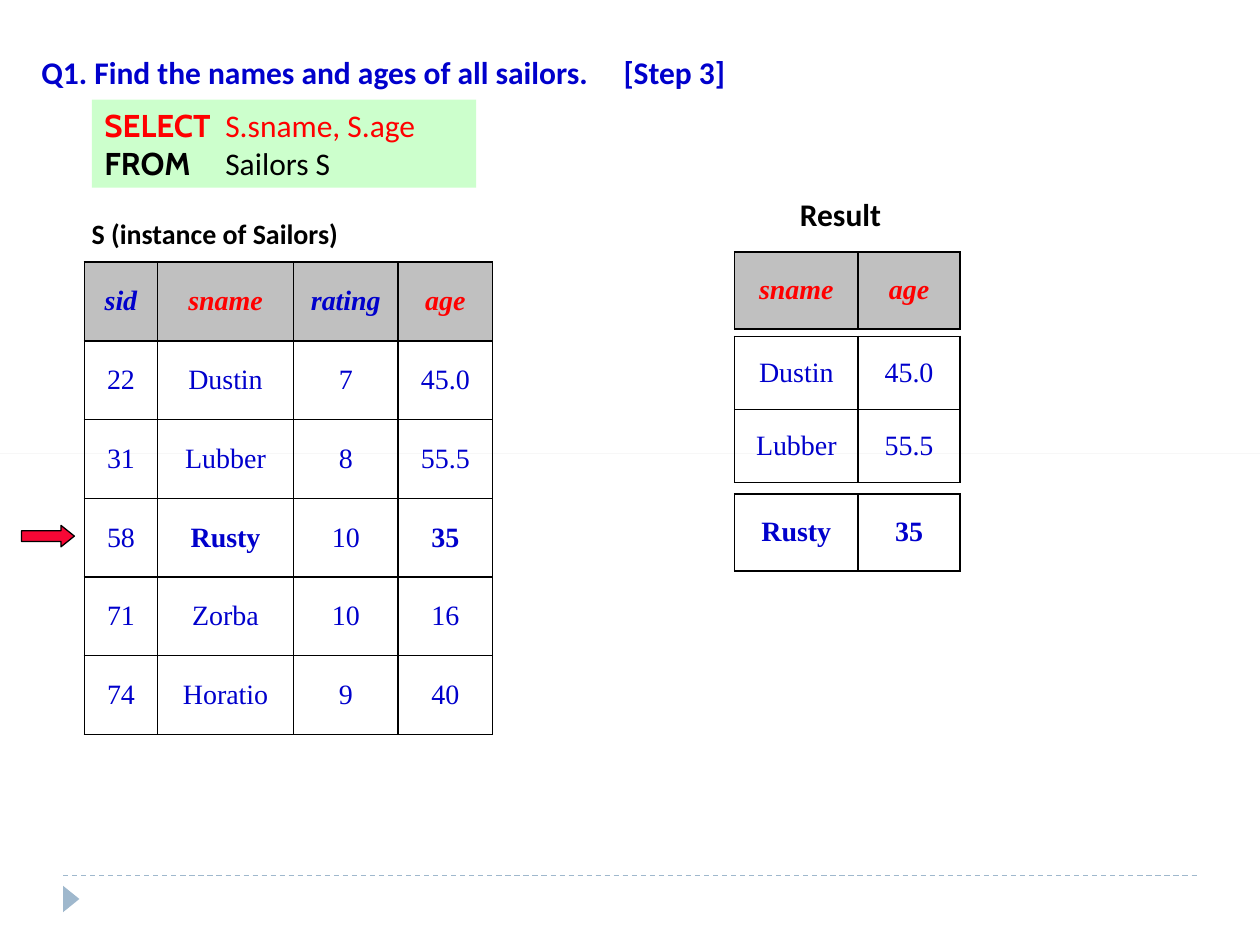
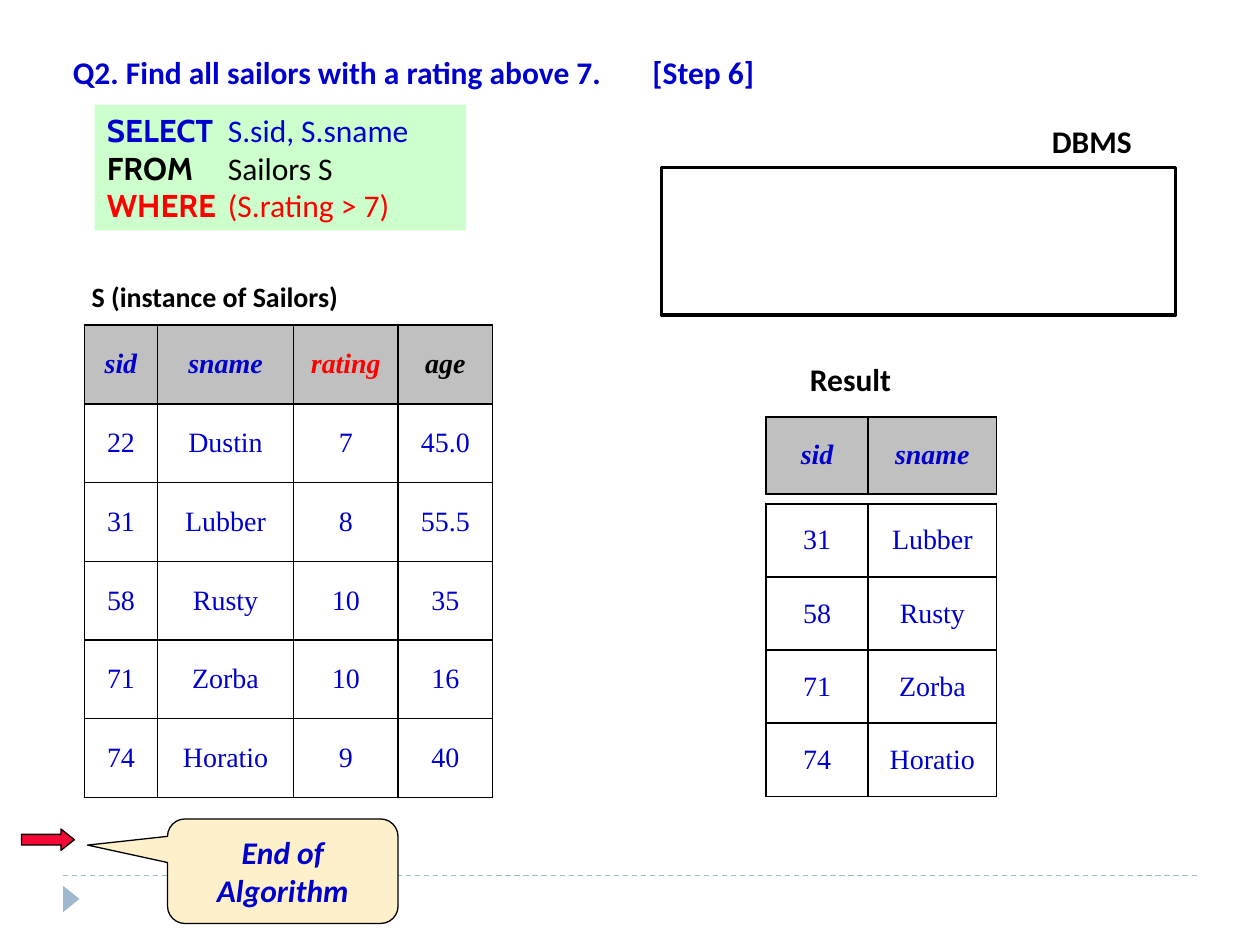
"""Build two slides that trace SQL queries over a Sailors table."""
from dataclasses import dataclass
from typing import Optional

from lxml import etree
from pptx import Presentation
from pptx.dml.color import RGBColor
from pptx.enum.dml import MSO_LINE
from pptx.enum.shapes import MSO_CONNECTOR, MSO_SHAPE
from pptx.enum.text import MSO_ANCHOR, PP_ALIGN
from pptx.oxml.ns import qn
from pptx.util import Inches, Pt

DASH = MSO_LINE.DASH
STRAIGHT = MSO_CONNECTOR.STRAIGHT
RECTANGLE = MSO_SHAPE.RECTANGLE
TRIANGLE = MSO_SHAPE.ISOSCELES_TRIANGLE
RIGHT_ARROW = MSO_SHAPE.RIGHT_ARROW
CALLOUT = MSO_SHAPE.ROUNDED_RECTANGULAR_CALLOUT
TOP, MIDDLE = MSO_ANCHOR.TOP, MSO_ANCHOR.MIDDLE
LEFT, CENTER = PP_ALIGN.LEFT, PP_ALIGN.CENTER

BLUE, RED, BLACK = "0000CC", "FF0000", "000000"
GRAY, STEEL, GREEN = "C0C0C0", "9FB8CD", "CCFFCC"
ARROW_RED, CREAM = "F70735", "FDF0CA"
BODY, KEYWORD, TABLE = "Calibri", "Cabin", "Times New Roman"

SAILOR_FIELDS = ("sid", "sname", "rating", "age")
SAILORS = (
    ("22", "Dustin", "7", "45.0"),
    ("31", "Lubber", "8", "55.5"),
    ("58", "Rusty", "10", "35"),
    ("71", "Zorba", "10", "16"),
    ("74", "Horatio", "9", "40"),
)
SAILOR_WIDTHS = (0.58, 1.08, 0.83, 0.75)
HEADER_HEIGHT, RESULT_HEIGHT, SAILOR_HEIGHT = 0.61, 0.58, 0.625


@dataclass(frozen=True)
class Box:
    """Place and size in inches."""
    left: float
    top: float
    width: float
    height: float

    def lengths(self) -> list:
        """Return the four measures as lengths."""
        return [Inches(v) for v in (self.left, self.top, self.width, self.height)]


@dataclass(frozen=True)
class Grid:
    """A table whose first row is a header when header colours are given."""
    left: float
    top: float
    widths: tuple
    row_height: float
    rows: tuple
    header_colors: tuple = ()
    bold: tuple = ()


@dataclass(frozen=True)
class Clause:
    """One line of a query."""
    keyword: str
    operand: str
    color: str


def rgb(color: str) -> RGBColor:
    """Turn a hex string into a colour."""
    return RGBColor.from_string(color)


def write(paragraph, text: str, *, font: str = BODY, size: float = 18,
          color: str = BLACK, bold: bool = True, italic: bool = False,
          align=LEFT) -> None:
    """Add a formatted run to a paragraph."""
    paragraph.alignment = align
    run = paragraph.add_run()
    run.text = text
    run.font.name, run.font.size = font, Pt(size)
    run.font.bold, run.font.italic = bold, italic
    run.font.color.rgb = rgb(color)


def set_tab(paragraph, position: float) -> None:
    """Give a paragraph one left tab stop."""
    tabs = etree.SubElement(paragraph._p.get_or_add_pPr(), qn("a:tabLst"))
    etree.SubElement(tabs, qn("a:tab"), pos=str(Inches(position)), algn="l")


def paragraphs(frame, count: int) -> list:
    """Return the given number of paragraphs of an empty frame."""
    for _ in range(count - 1):
        frame.add_paragraph()
    return list(frame.paragraphs)


def draw_label(slide, box: Box, text: str, tab: Optional[float] = None, **style) -> None:
    """Draw a line of free text."""
    frame = slide.shapes.add_textbox(*box.lengths()).text_frame
    frame.word_wrap = True
    paragraph = frame.paragraphs[0]
    if tab:
        set_tab(paragraph, tab)
    write(paragraph, text, **style)


def draw_shape(slide, kind, box: Box, *, fill: Optional[str] = None,
               line: Optional[str] = None, weight: float = 0.75, adjust: tuple = ()):
    """Draw a flat preset shape."""
    shape = slide.shapes.add_shape(kind, *box.lengths())
    shape.shadow.inherit = False
    if fill:
        shape.fill.solid()
        shape.fill.fore_color.rgb = rgb(fill)
    else:
        shape.fill.background()
    if line:
        shape.line.color.rgb = rgb(line)
        shape.line.width = Pt(weight)
    else:
        shape.line.fill.background()
    for index, value in enumerate(adjust):
        shape.adjustments[index] = value
    return shape


def draw_footer(slide) -> None:
    """Draw the dashed rule and the page marker."""
    rule = slide.shapes.add_connector(
        STRAIGHT, Inches(0.5), Inches(6.95), Inches(9.5), Inches(6.95))
    rule.line.color.rgb = rgb(STEEL)
    rule.line.width = Pt(0.75)
    rule.line.dash_style = DASH
    etree.SubElement(rule._element.spPr, qn("a:effectLst"))
    marker = draw_shape(slide, TRIANGLE, Box(0.46, 7.07, 0.21, 0.13), fill=STEEL)
    marker.rotation = 90


def draw_borders(cell) -> None:
    """Frame a cell with thin black lines."""
    properties = cell._tc.get_or_add_tcPr()
    for side in ("a:lnL", "a:lnR", "a:lnT", "a:lnB"):
        edge = etree.SubElement(properties, qn(side), w=str(Pt(1)))
        solid = etree.SubElement(edge, qn("a:solidFill"))
        etree.SubElement(solid, qn("a:srgbClr"), val=BLACK)


def draw_grid(slide, grid: Grid) -> None:
    """Draw a bordered table."""
    box = Box(grid.left, grid.top, sum(grid.widths), grid.row_height * len(grid.rows))
    table = slide.shapes.add_table(
        len(grid.rows), len(grid.widths), *box.lengths()).table
    table.first_row = table.horz_banding = False
    for column, width in zip(table.columns, grid.widths):
        column.width = Inches(width)
    for r, values in enumerate(grid.rows):
        table.rows[r].height = Inches(grid.row_height)
        is_header = r == 0 and bool(grid.header_colors)
        for c, value in enumerate(values):
            cell = table.cell(r, c)
            cell.vertical_anchor = MIDDLE
            draw_borders(cell)
            if is_header:
                cell.fill.solid()
                cell.fill.fore_color.rgb = rgb(GRAY)
            else:
                cell.fill.background()
            write(cell.text_frame.paragraphs[0], value, font=TABLE, size=16,
                  color=grid.header_colors[c] if is_header else BLUE,
                  bold=is_header or value in grid.bold, italic=is_header, align=CENTER)


def draw_sailors(slide, top: float, header_colors: tuple, bold: tuple = ()) -> None:
    """Draw the Sailors instance with its caption."""
    draw_label(slide, Box(0.63, top - 0.41, 2.54, 0.37), "S (instance of Sailors)", size=16)
    draw_grid(slide, Grid(0.67, top, SAILOR_WIDTHS, SAILOR_HEIGHT,
                          (SAILOR_FIELDS, *SAILORS), header_colors, bold))


def draw_query(slide, box: Box, clauses: tuple) -> None:
    """Draw a query on a green panel."""
    frame = draw_shape(slide, RECTANGLE, box, fill=GREEN).text_frame
    frame.word_wrap = True
    frame.vertical_anchor = TOP
    for paragraph, clause in zip(paragraphs(frame, len(clauses)), clauses):
        set_tab(paragraph, 0.96)
        write(paragraph, clause.keyword + "\t", font=KEYWORD, color=clause.color)
        write(paragraph, clause.operand, color=clause.color, bold=False)


def draw_step_arrow(slide, top: float) -> None:
    """Draw the arrow that marks the current row."""
    draw_shape(slide, RIGHT_ARROW, Box(0.17, top, 0.42, 0.17),
               fill=ARROW_RED, line=BLACK, adjust=(0.5, 0.625))


def draw_callout(slide, lines: tuple) -> None:
    """Draw the closing remark beside the arrow."""
    frame = draw_shape(slide, CALLOUT, Box(1.33, 6.5, 1.83, 0.83), fill=CREAM,
                       line=BLACK, adjust=(-0.847, -0.25, 0.167)).text_frame
    frame.word_wrap = True
    frame.vertical_anchor = MIDDLE
    for paragraph, line in zip(paragraphs(frame, len(lines)), lines):
        write(paragraph, line, color=BLUE, italic=True, align=CENTER)


def build_projection(slide) -> None:
    """Build the step that projects names and ages."""
    draw_footer(slide)
    draw_shape(slide, RECTANGLE, Box(0, 3.6, 10, 0), fill=GRAY)
    draw_step_arrow(slide, 4.17)
    draw_label(slide, Box(6.25, 1.5, 1.08, 0.4), "Result")
    widths = (0.98, 0.81)
    results = (
        Grid(5.83, 2, widths, HEADER_HEIGHT, (("sname", "age"),), (RED, RED)),
        Grid(5.83, 2.67, widths, RESULT_HEIGHT, tuple((s[1], s[3]) for s in SAILORS[:2])),
        Grid(5.83, 3.92, widths, HEADER_HEIGHT, (("Rusty", "35"),), bold=("Rusty", "35")),
    )
    for result in results:
        draw_grid(slide, result)
    draw_sailors(slide, 2.08, (BLUE, RED, BLUE, RED), ("Rusty", "35"))
    draw_query(slide, Box(0.73, 0.79, 3.05, 0.7), (
        Clause("SELECT", "S.sname, S.age", RED),
        Clause("FROM", "Sailors S", BLACK)))
    draw_label(slide, Box(0.23, 0.37, 7.85, 0.4),
               "Q1. Find the names and ages of all sailors.\t[Step 3]", tab=4.62, color=BLUE)


def build_selection(slide) -> None:
    """Build the last step of the selection by rating."""
    draw_footer(slide)
    draw_step_arrow(slide, 6.58)
    draw_sailors(slide, 2.58, (BLUE, BLUE, RED, BLACK))
    draw_label(slide, Box(0.48, 0.37, 8.18, 0.4),
               "Q2. Find all sailors with a rating above 7.\t[Step 6]", tab=4.6, color=BLUE)
    draw_label(slide, Box(6.33, 2.81, 1.08, 0.4), "Result")
    widths = (0.81, 1.02)
    draw_grid(slide, Grid(6.08, 3.31, widths, HEADER_HEIGHT, (("sid", "sname"),), (BLUE, BLUE)))
    draw_shape(slide, RECTANGLE, Box(5.25, 1.33, 4.08, 1.17), line=BLACK, weight=2.25)
    draw_label(slide, Box(8.25, 0.92, 1.08, 0.4), "DBMS")
    selected = tuple(s[:2] for s in SAILORS if int(s[2]) > 7)
    draw_grid(slide, Grid(6.08, 4, widths, RESULT_HEIGHT, selected))
    draw_query(slide, Box(0.75, 0.83, 2.95, 1), (
        Clause("SELECT", "S.sid, S.sname", BLUE),
        Clause("FROM", "Sailors S", BLACK),
        Clause("WHERE", "(S.rating > 7)", RED)))
    draw_callout(slide, ("End of", "Algorithm"))


def main() -> None:
    """Build and save the deck."""
    deck = Presentation()
    deck.slide_width, deck.slide_height = Inches(10), Inches(7.5)
    blank = deck.slide_layouts[6]
    for build in (build_projection, build_selection):
        build(deck.slides.add_slide(blank))
    deck.save("out.pptx")


if __name__ == "__main__":
    main()
